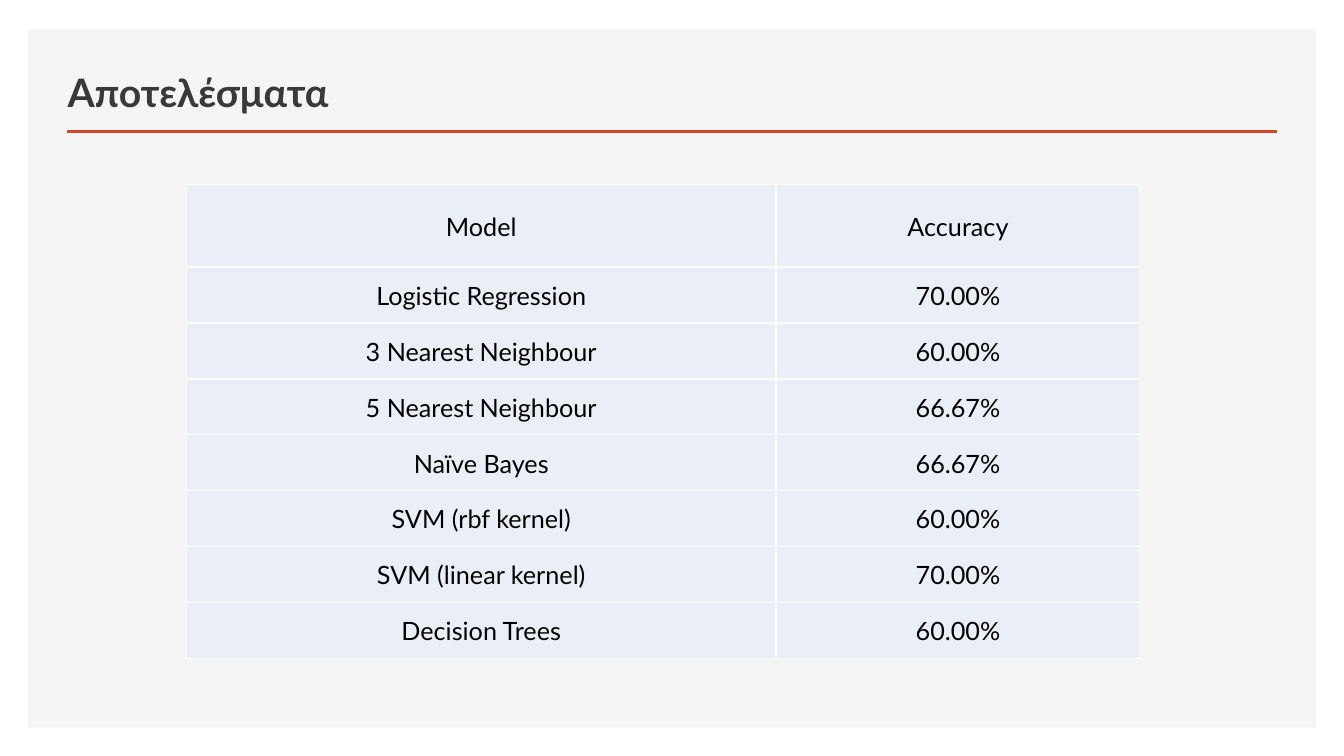
from dataclasses import dataclass

from lxml import etree
from pptx import Presentation, util as u
from pptx.dml.color import RGBColor
from pptx.enum import shapes, text
from pptx.oxml import parse_xml
from pptx.oxml.ns import nsdecls, qn

SCALE = 4572
FONT = "Lato"
COLORS = {
    "panel": "F5F5F5",
    "rule": "D24726",
    "title": "3B3838",
    "cell": "EAEFF7",
    "grid": "FFFFFF",
    "ink": "000000",
}


@dataclass(frozen=True)
class Score:
    model: str
    value: str


SCORES = [
    Score("Model", "Accuracy"),
    Score("Logistic Regression", "70.00%"),
    Score("3 Nearest Neighbour", "60.00%"),
    Score("5 Nearest Neighbour", "66.67%"),
    Score("Naïve Bayes", "66.67%"),
    Score("SVM (rbf kernel)", "60.00%"),
    Score("SVM (linear kernel)", "70.00%"),
    Score("Decision Trees", "60.00%"),
]


def px(n: int) -> u.Emu:
    return u.Emu(n * SCALE)


def color(name: str) -> RGBColor:
    return RGBColor.from_string(COLORS[name])


def write(frame, words: str, *, size: int, ink: str, bold: bool = False,
          align=text.PP_ALIGN.LEFT) -> None:
    line = frame.paragraphs[0]
    line.alignment = align
    run = line.add_run()
    run.text = words
    run.font.name = FONT
    run.font.size = u.Pt(size)
    run.font.bold = bold
    run.font.color.rgb = color(ink)


def border(cell) -> None:
    props = cell._tc.get_or_add_tcPr()
    for i, side in enumerate("LRTB"):
        props.insert(i, parse_xml(
            f'<a:ln{side} {nsdecls("a")} w="12700"><a:solidFill>'
            f'<a:srgbClr val="{COLORS["grid"]}"/></a:solidFill></a:ln{side}>'))


def draw_frame(slide) -> None:
    panel = slide.shapes.add_shape(
        shapes.MSO_SHAPE.RECTANGLE, px(56), px(58), px(2556), px(1386))
    panel.shadow.inherit = False
    panel.fill.solid()
    panel.fill.fore_color.rgb = color("panel")
    panel.line.fill.background()
    rule = slide.shapes.add_connector(
        shapes.MSO_CONNECTOR.STRAIGHT, px(132), px(261), px(2534), px(261))
    rule.line.color.rgb = color("rule")
    rule.line.width = u.Pt(2)
    etree.SubElement(rule.element.spPr, qn("a:effectLst"))
    for item in (panel, rule):
        slide.shapes.title.element.addprevious(item.element)


def draw_title(slide, words: str) -> None:
    title = slide.shapes.title
    title.left, title.top = px(114), px(98)
    title.width, title.height = px(1504), px(140)
    frame = title.text_frame
    frame.auto_size = text.MSO_AUTO_SIZE.NONE
    frame.vertical_anchor = text.MSO_ANCHOR.BOTTOM
    write(frame, words, size=28, ink="title", bold=True)


def draw_table(slide, scores: list[Score]) -> None:
    widths = (1170, 722)
    heights = [164] + [111] * (len(scores) - 1)
    table = slide.shapes.add_table(
        len(scores), len(widths), px(370), px(366),
        px(sum(widths)), px(sum(heights))).table
    table.first_row = table.horz_banding = False
    for col, width in zip(table.columns, widths):
        col.width = px(width)
    for row, height, score in zip(table.rows, heights, scores):
        row.height = px(height)
        for cell, words in zip(row.cells, (score.model, score.value)):
            cell.margin_left = cell.margin_right = cell.margin_top = px(2)
            cell.margin_bottom = 0
            cell.vertical_anchor = text.MSO_ANCHOR.MIDDLE
            cell.fill.solid()
            cell.fill.fore_color.rgb = color("cell")
            border(cell)
            write(cell.text_frame, words, size=18, ink="ink",
                  align=text.PP_ALIGN.CENTER)


def main() -> None:
    deck = Presentation()
    deck.slide_width, deck.slide_height = px(2667), px(1500)
    slide = deck.slides.add_slide(deck.slide_layouts[5])
    draw_frame(slide)
    draw_title(slide, "Αποτελέσματα")
    draw_table(slide, SCORES)
    deck.save("out.pptx")


if __name__ == "__main__":
    main()
